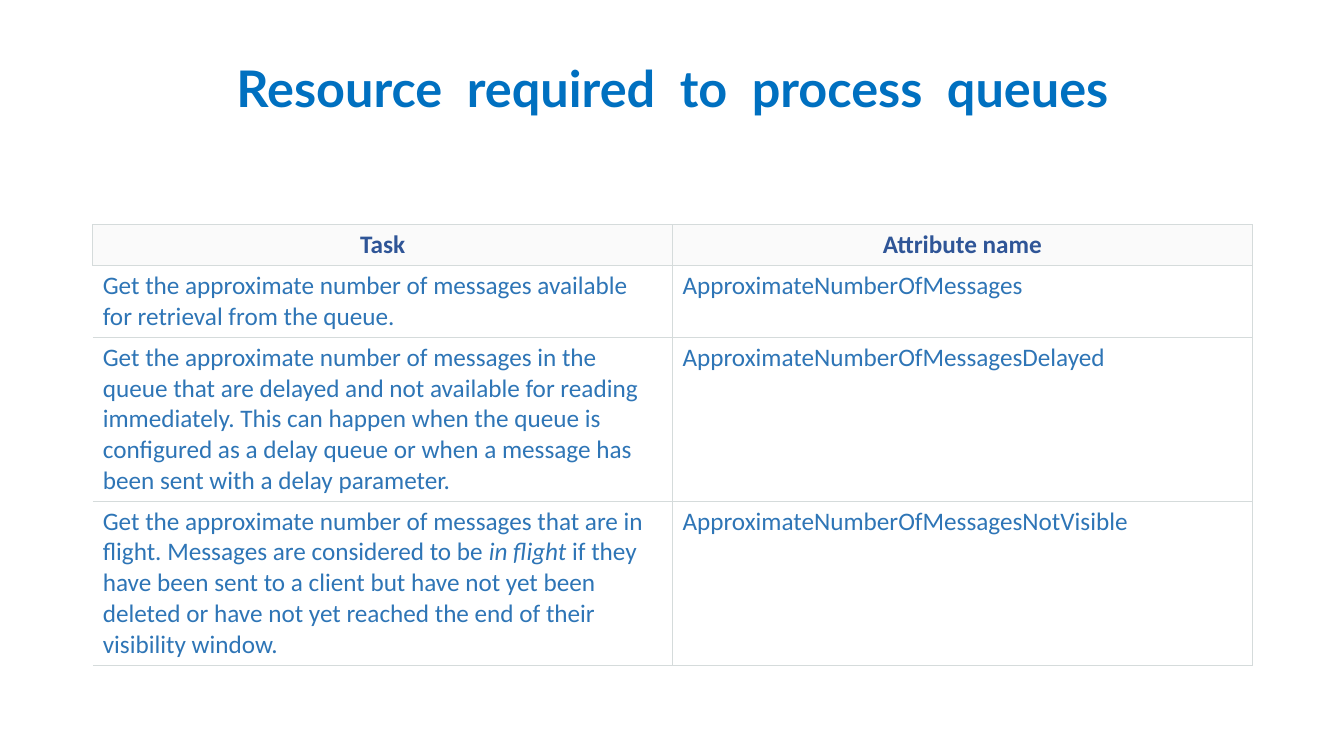
from lxml.etree import SubElement
from pptx import Presentation
from pptx.dml.color import RGBColor
from pptx.enum.text import MSO_ANCHOR, MSO_AUTO_SIZE, PP_ALIGN
from pptx.oxml.ns import qn
from pptx.util import Inches, Pt

GRID = "D5DBDB"
HEADINGS = ("Task", "Attribute name")
# Each task is a list of (text, italic) runs, paired with its attribute name.
QUEUE_TASKS = [
    ([("Get the approximate number of messages available for retrieval "
       "from the queue.", False)],
     "ApproximateNumberOfMessages"),
    ([("Get the approximate number of messages in the queue that are delayed "
       "and not available for reading immediately. This can happen when the "
       "queue is configured as a delay queue or when a message has been sent "
       "with a delay parameter.", False)],
     "ApproximateNumberOfMessagesDelayed"),
    ([("Get the approximate number of messages that are in flight. Messages "
       "are considered to be ", False),
      ("in flight", True),
      (" if they have been sent to a client but have not yet been deleted or "
       "have not yet reached the end of their visibility window.", False)],
     "ApproximateNumberOfMessagesNotVisible"),
]
ROW_HEIGHTS = (0.4, 0.7, 1.6, 1.6)


def rgb(hex_color):
    """Turn a hex string into a colour."""
    return RGBColor.from_string(hex_color)


def add_text(paragraph, text, *, size=18, font="Calibri", color="2E75B6",
             bold=False, italic=False, align=PP_ALIGN.LEFT):
    """Append a formatted run to a paragraph."""
    paragraph.alignment = align
    run = paragraph.add_run()
    run.text = text
    run.font.size = Pt(size)
    run.font.name = font
    run.font.color.rgb = rgb(color)
    run.font.bold = bold
    run.font.italic = italic


def style_cell(cell, fill, widths):
    """Set a cell's fill and its left, right, top and bottom line widths."""
    properties = cell._tc.get_or_add_tcPr()
    for side, width in zip("LRTB", widths):
        line = SubElement(properties, qn(f"a:ln{side}"), w=str(Pt(width)))
        if width:
            solid = SubElement(line, qn("a:solidFill"))
            SubElement(solid, qn("a:srgbClr"), val=GRID)
        else:
            SubElement(line, qn("a:noFill"))
    cell.fill.solid()
    cell.fill.fore_color.rgb = rgb(fill)


def add_title(slide, text):
    """Place and format the slide title."""
    title = slide.shapes.title
    title.left, title.top = Inches(0.93), Inches(0.51)
    title.width, title.height = Inches(11.48), Inches(0.71)
    frame = title.text_frame
    frame.word_wrap = False
    frame.auto_size = MSO_AUTO_SIZE.NONE
    frame.vertical_anchor = MSO_ANCHOR.MIDDLE
    paragraph = frame.paragraphs[0]
    paragraph.line_spacing = 1.0
    add_text(paragraph, text, size=36, font="Lato", color="0070C0",
             bold=True, align=PP_ALIGN.CENTER)


def add_task_table(slide):
    """Add the table of queue tasks and their attributes."""
    table = slide.shapes.add_table(
        len(ROW_HEIGHTS), len(HEADINGS), Inches(0.92), Inches(2.23),
        Inches(11.5), Inches(sum(ROW_HEIGHTS))).table
    table.horz_banding = False
    for row, height in zip(table.rows, ROW_HEIGHTS):
        row.height = Inches(height)

    for column, heading in enumerate(HEADINGS):
        cell = table.cell(0, column)
        style_cell(cell, "FAFAFA", (1, 0.5 if column else 1, 1, 0.5))
        add_text(cell.text_frame.paragraphs[0], heading, color="2F5597",
                 bold=True, align=PP_ALIGN.CENTER)

    for row, (task, attribute) in enumerate(QUEUE_TASKS, start=1):
        for column, runs in enumerate((task, [(attribute, False)])):
            cell = table.cell(row, column)
            style_cell(cell, "FFFFFF", (0.5 if column else 0, 0.5, 0.5, 0.5))
            for text, italic in runs:
                add_text(cell.text_frame.paragraphs[0], text, italic=italic)


def main():
    """Build and save the slide."""
    deck = Presentation()
    deck.slide_width, deck.slide_height = Inches(13.33), Inches(7.5)
    slide = deck.slides.add_slide(deck.slide_layouts[5])
    add_title(slide, "Resource  required  to  process  queues")
    add_task_table(slide)
    deck.save("out.pptx")


main()
